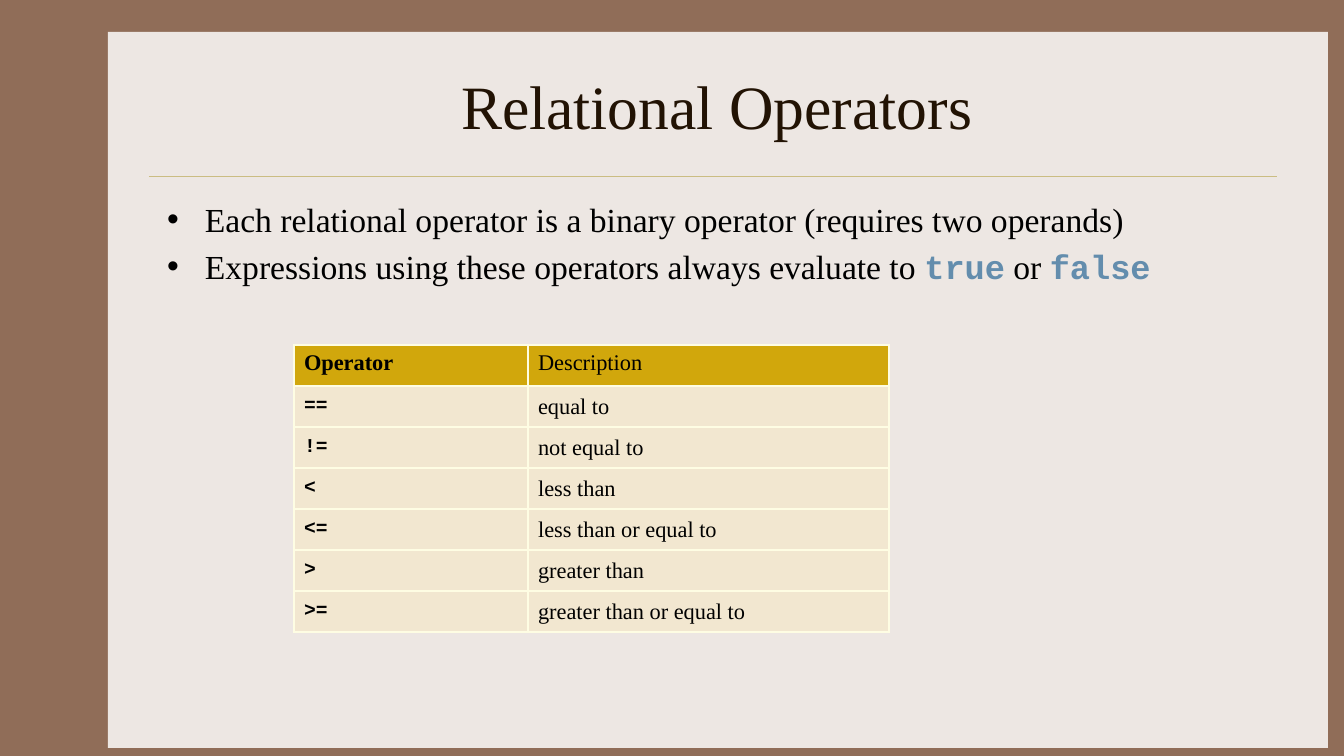
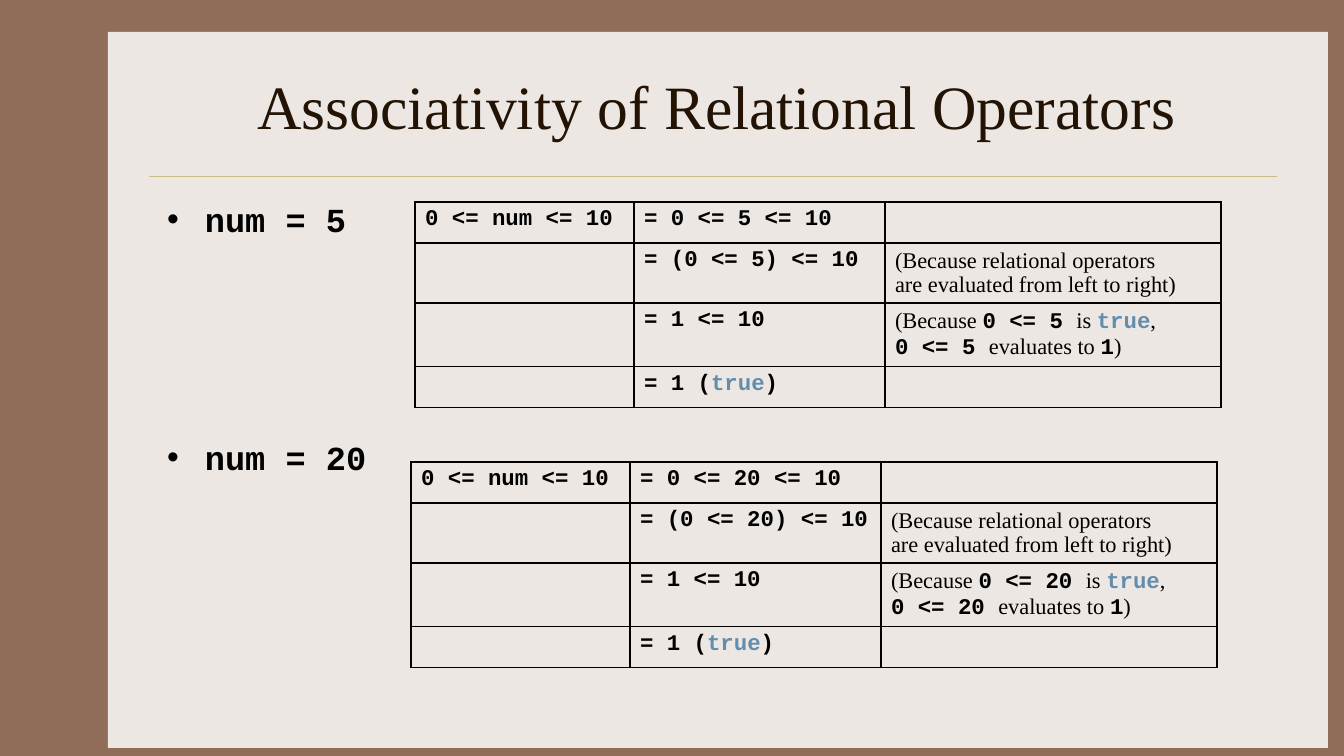
from lxml.etree import SubElement
from pptx import Presentation
from pptx.dml.color import RGBColor
from pptx.enum.shapes import MSO_CONNECTOR as Connector, MSO_SHAPE as Shape
from pptx.enum.text import MSO_ANCHOR as Anchor, MSO_AUTO_SIZE as AutoSize, PP_ALIGN as Align
from pptx.oxml import parse_xml
from pptx.oxml.ns import nsdecls, qn
from pptx.util import Pt

PX = 9071
SERIF, MONO = "Times New Roman", "Courier New"
BROWN, PANEL, RULE, TITLE = "906D58", "EDE7E3", "CBBD83", "221304"
BLACK, KEYWORD = "000000", "638DAD"
GOLD, SAND, CREAM = "D1A70C", "F2E7D0", "FEFDE3"
color_of = RGBColor.from_string


def write(frame, text, size, color=BLACK, bold=False, align=None, anchor=None):
    frame.word_wrap = True
    if anchor is not None:
        frame.vertical_anchor = anchor
    for number, line in enumerate(text.split("\n")):
        para = frame.add_paragraph() if number else frame.paragraphs[0]
        para.alignment = align
        for position, piece in enumerate(line.split("`")):
            if not piece:
                continue
            is_code = position % 2 == 1
            span = para.add_run()
            span.text = piece
            span.font.name = MONO if is_code else SERIF
            span.font.size = Pt(size)
            span.font.bold = bold or is_code
            span.font.color.rgb = color_of(KEYWORD if piece in ("true", "false") else color)


def add_grid(page, left, top, widths, heights, border, fills=None):
    frame = page.shapes.add_table(len(heights), len(widths), left * PX, top * PX,
                                  sum(widths) * PX, sum(heights) * PX)
    table = frame.table
    table.first_row = table.horz_banding = False
    for column, width in zip(table.columns, widths):
        column.width = width * PX
    for number, (row, height) in enumerate(zip(table.rows, heights)):
        row.height = height * PX
        for cell in row.cells:
            if fills:
                cell.fill.solid()
                cell.fill.fore_color.rgb = color_of(fills[min(number, 1)])
            else:
                cell.fill.background()
            properties = cell._tc.get_or_add_tcPr()
            for order, side in enumerate("LRTB"):
                properties.insert(order, parse_xml(
                    f'<a:ln{side} {nsdecls("a")} w="12700"><a:solidFill>'
                    f'<a:srgbClr val="{border}"/></a:solidFill></a:ln{side}>'))
    return table


deck = Presentation()
deck.slide_width, deck.slide_height = 1344 * PX, 756 * PX

layout = deck.slide_layouts[1]
layout.background.fill.solid()
layout.background.fill.fore_color.rgb = color_of(BROWN)
for holder, top, height in zip(layout.placeholders, (42, 194), (126, 454)):
    holder.left, holder.top = 157 * PX, top * PX
    holder.width, holder.height = 1120 * PX, height * PX

contents = [
    ("Relational Operators",
     "Each relational operator is a binary operator (requires two operands)\n"
     "Expressions using these operators always evaluate to `true` or `false`"),
    ("Associativity of Relational Operators", "`num = 5`\n`num = 20`"),
]
pages = []
for title, bullets in contents:
    page = deck.slides.add_slide(layout)
    heading, body = page.shapes.title.text_frame, page.placeholders[1].text_frame
    heading.auto_size = body.auto_size = AutoSize.NONE
    write(heading, title, 44, color=TITLE, align=Align.CENTER, anchor=Anchor.MIDDLE)
    write(body, bullets, 24)
    pages.append(page)
operators_page, associativity_page = pages

panel = operators_page.shapes.add_shape(Shape.RECTANGLE, 108 * PX, 32 * PX, 1220 * PX, 716 * PX)
panel.shadow.inherit = False
panel.fill.solid()
panel.fill.fore_color.rgb = color_of(PANEL)
panel.line.fill.background()
rule = operators_page.shapes.add_connector(Connector.STRAIGHT, 149 * PX, 176 * PX, 1277 * PX, 176 * PX)
rule.line.color.rgb = color_of(RULE)
rule.line.width = Pt(0.25)
SubElement(rule._element.spPr, qn("a:effectLst"))
for order, part in enumerate((panel, rule)):
    layout.shapes._spTree.insert(2 + order, part._element)

operators = [
    ("==", "equal to"),
    ("!=", "not equal to"),
    ("<", "less than"),
    ("<=", "less than or equal to"),
    (">", "greater than"),
    (">=", "greater than or equal to"),
]
table = add_grid(operators_page, 294, 345, (234, 361), [41] * 7, CREAM, fills=(GOLD, SAND))
write(table.cell(0, 0).text_frame, "Operator", 16, bold=True)
write(table.cell(0, 1).text_frame, "Description", 16)
for number, (operator, meaning) in enumerate(operators, 1):
    for column, (text, size) in enumerate(((f"`{operator}`", 14), (meaning, 16))):
        cell = table.cell(number, column)
        cell.vertical_anchor = Anchor.MIDDLE
        write(cell.text_frame, text, size)

associativity_page.placeholders[1].text_frame.paragraphs[1].space_before = Pt(141)
for value, left, top in ((5, 415, 202), (20, 411, 462)):
    steps = [
        ("`0 <= num <= 10`", f"`= 0 <= {value} <= 10`", ""),
        ("", f"`= (0 <= {value}) <= 10`",
         "(Because relational operators\nare evaluated from left to right)"),
        ("", "`= 1 <= 10`",
         f"(Because `0 <= {value} `is `true`,\n`0 <= {value} `evaluates to `1`)"),
        ("", "`= 1 (``true``)`", ""),
    ]
    table = add_grid(associativity_page, left, top, (219, 251, 336), (41, 60, 63, 41), BLACK)
    for row, texts in zip(table.rows, steps):
        for cell, text in zip(row.cells, texts):
            if text:
                write(cell.text_frame, text, 16)

deck.save("out.pptx")
